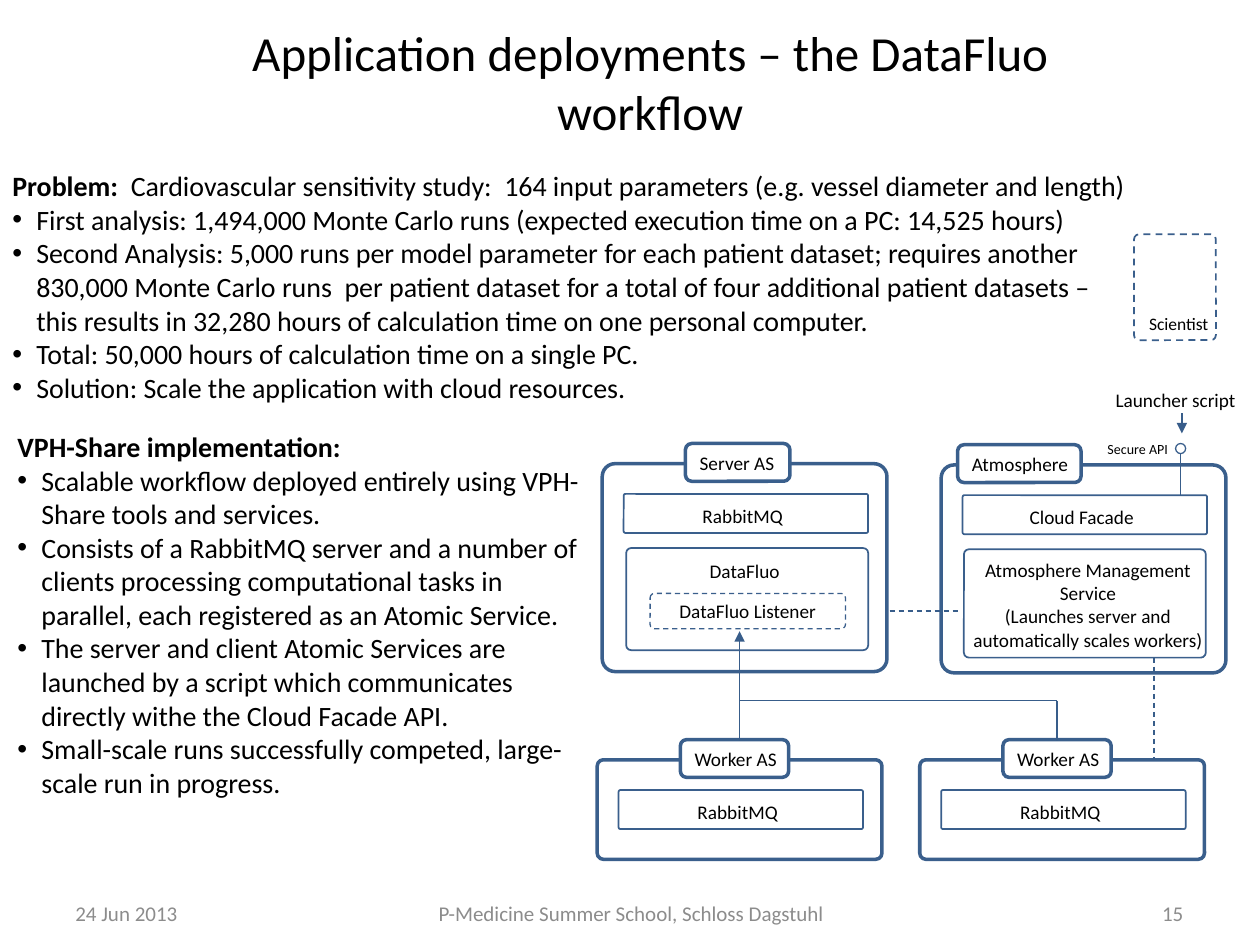
from collections import namedtuple

from lxml.etree import SubElement
from pptx import Presentation
from pptx.dml.color import RGBColor
from pptx.enum.dml import MSO_LINE
from pptx.enum.shapes import MSO_CONNECTOR, MSO_SHAPE as SHAPE
from pptx.enum.text import MSO_ANCHOR as ANCHOR, PP_ALIGN as ALIGN
from pptx.oxml.ns import qn
from pptx.util import Pt

PX = 9144  # EMU in one px, 100 px to the inch
Box = namedtuple("Box", "x y w h")
Theme = namedtuple("Theme", "font ink muted paper outline link title body footer label small tiny")
THEME = Theme(font="Calibri", ink="000000", muted="8C8C8C", paper="FFFFFF",
              outline="3A5F8C", link="385D8A",
              title=28, body=16, footer=12, label=11, small=10, tiny=8)
FRAME_ROUND, CARD_ROUND, TAB_ROUND = 0.062, 0.047, 0.167


def rgb(value):
    return RGBColor.from_string(value)


def inside(box, dx, dy, w, h):
    """Box placed relative to the top left of another box."""
    return Box(box.x + dx, box.y + dy, w, h)


def emu(*lengths):
    return [length * PX for length in lengths]


def set_frame(tf, insets, anchor):
    left, top, right, bottom = emu(*insets)
    fmt = dict(word_wrap=True, vertical_anchor=anchor, margin_left=left,
               margin_top=top, margin_right=right, margin_bottom=bottom)
    for name, value in fmt.items():
        setattr(tf, name, value)


def add_run(p, text, size, color=THEME.ink, bold=False):
    r = p.add_run()
    r.text = text
    for name, value in dict(name=THEME.font, size=Pt(size), bold=bold).items():
        setattr(r.font, name, value)
    r.font.color.rgb = rgb(color)


def write(tf, text, size, align, color=THEME.ink):
    for i, line in enumerate(text.split("\n")):
        p = tf.add_paragraph() if i else tf.paragraphs[0]
        p.alignment = align
        add_run(p, line, size, color)


def add_text(s, box, text, size, align=ALIGN.CENTER, color=THEME.ink, anchor=ANCHOR.TOP):
    tf = s.shapes.add_textbox(*emu(*box)).text_frame
    set_frame(tf, (10, 5, 10, 5), anchor)
    write(tf, text, size, align, color)


def add_outline(s, box, width, corner=None, kind=SHAPE.ROUNDED_RECTANGLE,
                dashed=False, filled=False):
    sp = s.shapes.add_shape(kind, *emu(*box))
    sp.shadow.inherit = False
    if corner is not None:
        sp.adjustments[0] = corner
    if filled:
        sp.fill.solid()
        sp.fill.fore_color.rgb = rgb(THEME.paper)
    else:
        sp.fill.background()
    sp.line.width = Pt(width)
    sp.line.color.rgb = rgb(THEME.outline)
    if dashed:
        sp.line.dash_style = MSO_LINE.DASH
    return sp


def add_card(s, box, text, size=THEME.label, insets=(0, 0, 0, 0), anchor=ANCHOR.MIDDLE,
             align=ALIGN.CENTER, width=1, corner=CARD_ROUND, **look):
    """Rounded box with its caption inside."""
    sp = add_outline(s, box, width, corner, **look)
    set_frame(sp.text_frame, insets, anchor)
    write(sp.text_frame, text, size, align)


def add_link(s, start, end, dashed=False, arrow=False):
    c = s.shapes.add_connector(MSO_CONNECTOR.STRAIGHT, *emu(*start, *end))
    c.line.width = Pt(0.75)
    c.line.color.rgb = rgb(THEME.link)
    if dashed:
        c.line.dash_style = MSO_LINE.DASH
    if arrow:
        SubElement(c.line._get_or_add_ln(), qn("a:tailEnd"), type="triangle")
    SubElement(c._element.spPr, qn("a:effectLst"))


def bulleted(p):
    pPr = p._p.get_or_add_pPr()
    indent = 19 * PX
    pPr.set("marL", str(indent))
    pPr.set("indent", str(-indent))
    SubElement(pPr, qn("a:buFont"), typeface="Arial")
    SubElement(pPr, qn("a:buChar"), char="•")


def bullet_block(s, box, heading, lead, points):
    tf = s.shapes.add_textbox(*emu(*box)).text_frame
    set_frame(tf, (10, 5, 10, 5), ANCHOR.TOP)
    add_run(tf.paragraphs[0], heading, THEME.body, bold=True)
    if lead:
        add_run(tf.paragraphs[0], lead, THEME.body)
    for point in points:
        p = tf.add_paragraph()
        bulleted(p)
        add_run(p, point, THEME.body)


def footer(s, box):
    parts = [(0, 233, "24 Jun 2013", ALIGN.LEFT),
             (250, 402, "P-Medicine Summer School, Schloss Dagstuhl", ALIGN.CENTER),
             (834, 65, "15", ALIGN.RIGHT)]
    for dx, w, text, align in parts:
        add_text(s, inside(box, dx, 0, w, box.h), text, THEME.footer, align,
                 THEME.muted, ANCHOR.MIDDLE)


def node(s, box, name, tab_dx, tab_w, first_card):
    """Frame with a name tab on its top edge and one card below it."""
    add_outline(s, box, 2, FRAME_ROUND)
    add_card(s, inside(box, tab_dx, -16, tab_w, 30), name, insets=(10, 0, 0, 0),
             align=ALIGN.LEFT, width=2, corner=TAB_ROUND, filled=True)
    add_card(s, inside(box, 17, 24, 194, 31), first_card, insets=(0, 4, 5, 0))


def worker(s, box):
    node(s, box, "Worker AS", 66, 86, "RabbitMQ")


def server(s, box):
    node(s, box, "Server AS", 66, 83, "RabbitMQ")
    add_card(s, inside(box, 19, 67, 192, 81), "DataFluo", insets=(0, 8, 4, 0),
             anchor=ANCHOR.TOP)
    add_card(s, inside(box, 38, 103, 155, 28), "DataFluo Listener", width=0.75,
             corner=0.119, dashed=True)


def atmosphere(s, box):
    node(s, box, "Atmosphere", 13, 98, "Cloud Facade")
    add_card(s, inside(box, 18, 67, 192, 86),
             "Atmosphere Management\nService\n"
             "(Launches server and automatically scales workers)", insets=(5, 2, 0, 0))


def scientist(s, box):
    add_card(s, box, "Scientist", THEME.small, insets=(6, 0, 0, 4),
             anchor=ANCHOR.BOTTOM, corner=FRAME_ROUND, dashed=True)


def launcher(s, box):
    """Script that calls the secure API port of the cloud facade."""
    add_text(s, inside(box, 30, 0, 142, 29), "Launcher script", THEME.label)
    add_link(s, (box.x + 106, box.y + 25), (box.x + 106, box.y + 41), arrow=True)
    add_text(s, inside(box, 0, 42, 142, 24), "Secure API", THEME.tiny)
    add_outline(s, inside(box, 101, 49, 8, 8), 0.75, kind=SHAPE.OVAL)
    add_link(s, (box.x + 105, box.y + 57), (box.x + 105, box.y + box.h))


def links(s, server_box, cloud_box, worker_boxes):
    left, right = (b.x + 109 for b in worker_boxes)
    left += 4
    tab_top = worker_boxes[0].y - 15
    bus = tab_top - 32
    add_link(s, (left, tab_top), (left, server_box.y + 133), arrow=True)
    add_link(s, (left, bus), (right, bus))
    add_link(s, (right, bus), (right, tab_top))
    middle = server_box.y + 117
    add_link(s, (server_box.x + server_box.w + 2, middle), (cloud_box.x + 16, middle),
             dashed=True)
    scale_x = cloud_box.x + 169
    add_link(s, (scale_x, cloud_box.y + 153), (scale_x, worker_boxes[1].y), dashed=True)


def diagram(s):
    server_box, cloud_box = Box(478, 368, 226, 165), Box(747, 369, 226, 165)
    worker_boxes = [Box(x, 603, 226, 79) for x in (474, 730)]
    server(s, server_box)
    atmosphere(s, cloud_box)
    for box in worker_boxes:
        worker(s, box)
    links(s, server_box, cloud_box, worker_boxes)
    scientist(s, Box(900, 186, 65, 84))
    launcher(s, Box(832, 303, 172, 90))


def main():
    prs = Presentation()
    prs.slide_width, prs.slide_height = emu(1000, 750)
    s = prs.slides.add_slide(prs.slide_layouts[6])
    footer(s, Box(50, 705, 899, 40))
    add_text(s, Box(161, 13, 710, 70), "Application deployments – the DataFluo workflow",
             THEME.title)
    bullet_block(s, Box(0, 129, 913, 199), "Problem: ",
                 " Cardiovascular sensitivity study:  164 input parameters "
                 "(e.g. vessel diameter and length)", [
        "First analysis: 1,494,000 Monte Carlo runs (expected execution time on a PC: 14,525 hours)",
        "Second Analysis: 5,000 runs per model parameter for each patient dataset; requires "
        "another 830,000 Monte Carlo runs  per patient dataset for a total of four additional "
        "patient datasets – this results in 32,280 hours of calculation time on one personal "
        "computer.",
        "Total: 50,000 hours of calculation time on a single PC.",
        "Solution: Scale the application with cloud resources."])
    bullet_block(s, Box(4, 336, 471, 306), "VPH-Share implementation:", "", [
        "Scalable workflow deployed entirely using VPH-Share tools and services.",
        "Consists of a RabbitMQ server and a number of clients processing computational tasks "
        "in parallel, each registered as an Atomic Service.",
        "The server and client Atomic Services are launched by a script which communicates "
        "directly withe the Cloud Facade API.",
        "Small-scale runs successfully competed, large-scale run in progress."])
    diagram(s)
    prs.save("out.pptx")


if __name__ == "__main__":
    main()
